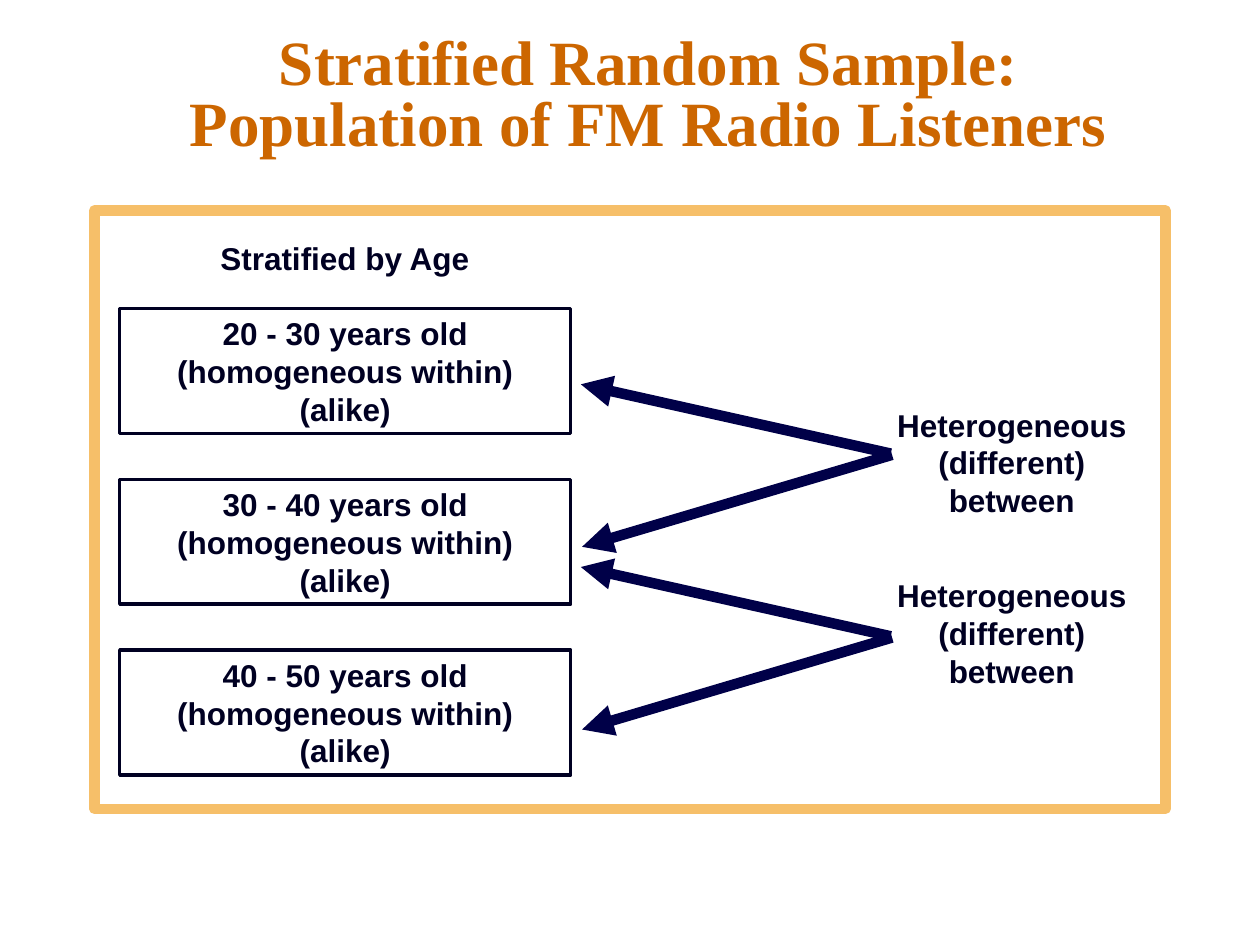
import pptx
import pptx.util
import pptx.dml.color
import pptx.enum.shapes
import pptx.enum.text
import pptx.oxml.ns
from lxml import etree

Inches = pptx.util.Inches
Pt = pptx.util.Pt
ALIGN = pptx.enum.text.PP_ALIGN
ANCHOR = pptx.enum.text.MSO_ANCHOR

INK, NAVY, ORANGE, AMBER, WHITE = "000022", "000048", "CC6600", "F6BF69", "FFFFFF"
STRATUM_STEP = 1.355
ARROW_STEP = 1.45


def color(hex_code):
    return pptx.dml.color.RGBColor.from_string(hex_code)


def write(shape, text, size=18, font="Arial", hex_code=INK, align=ALIGN.CENTER,
          anchor=ANCHOR.TOP, wrap=False):
    frame = shape.text_frame
    frame.text = text
    frame.word_wrap = wrap
    frame.vertical_anchor = anchor
    for paragraph in frame.paragraphs:
        paragraph.alignment = align
        for run in paragraph.runs:
            run.font.size = Pt(size)
            run.font.name = font
            run.font.bold = True
            run.font.color.rgb = color(hex_code)
    return frame


def add_label(slide, left, top, width, height, text, **style):
    label = slide.shapes.add_textbox(Inches(left), Inches(top), Inches(width), Inches(height))
    return write(label, text, **style)


def add_box(slide, left, top, width, height, line_color, line_width):
    box = slide.shapes.add_shape(pptx.enum.shapes.MSO_SHAPE.RECTANGLE, Inches(left),
                                 Inches(top), Inches(width), Inches(height))
    box.shadow.inherit = False
    box.fill.solid()
    box.fill.fore_color.rgb = color(WHITE)
    box.line.color.rgb = color(line_color)
    box.line.width = Pt(line_width)
    return box


def add_arrow(slide, tip, tail):
    """Draw a thick line whose arrowhead sits at its start, the tip."""
    arrow = slide.shapes.add_connector(pptx.enum.shapes.MSO_CONNECTOR.STRAIGHT,
                                       *map(Inches, tip + tail))
    arrow.line.color.rgb = color(NAVY)
    arrow.line.width = Pt(6)
    qn = pptx.oxml.ns.qn
    properties = arrow._element.spPr
    etree.SubElement(properties.find(qn("a:ln")), qn("a:headEnd"), type="triangle")
    etree.SubElement(properties, qn("a:effectLst"))


def main():
    presentation = pptx.Presentation()
    presentation.slide_width = Inches(10)
    presentation.slide_height = Inches(7.5)
    slide = presentation.slides.add_slide(presentation.slide_layouts[6])

    # Title
    title = add_label(slide, 1.06, 0.15, 8.17, 1.25,
                      "Stratified Random Sample: Population of FM Radio Listeners",
                      size=36, font="Times New Roman", hex_code=ORANGE,
                      anchor=ANCHOR.MIDDLE, wrap=True)
    title.paragraphs[0].line_spacing = 0.8
    title.paragraphs[0].space_before = Pt(7.2)

    # Population frame
    add_box(slide, 0.75, 1.67, 8.5, 4.75, AMBER, 6)

    # Age strata
    for index, ages in enumerate(("20 - 30", "30 - 40", "40 - 50")):
        stratum = add_box(slide, 0.95, 2.45 + index * STRATUM_STEP, 3.58, 0.99, INK, 2)
        write(stratum, f"{ages} years old\n(homogeneous within)\n(alike)", anchor=ANCHOR.MIDDLE)

    # Differences between neighbouring strata
    for index in range(2):
        drop = index * ARROW_STEP
        add_arrow(slide, (4.61, 3.05 + drop), (7.07, 3.6 + drop))
        add_arrow(slide, (4.62, 4.34 + drop), (7.08, 3.61 + drop))
        add_label(slide, 7.02, 3.17 + index * STRATUM_STEP, 2.02, 1,
                  "Heterogeneous\n(different)\nbetween")

    # Strata heading
    add_label(slide, 1.65, 1.85, 2.18, 0.4, "Stratified by Age", align=ALIGN.LEFT)

    presentation.save("out.pptx")


if __name__ == "__main__":
    main()
